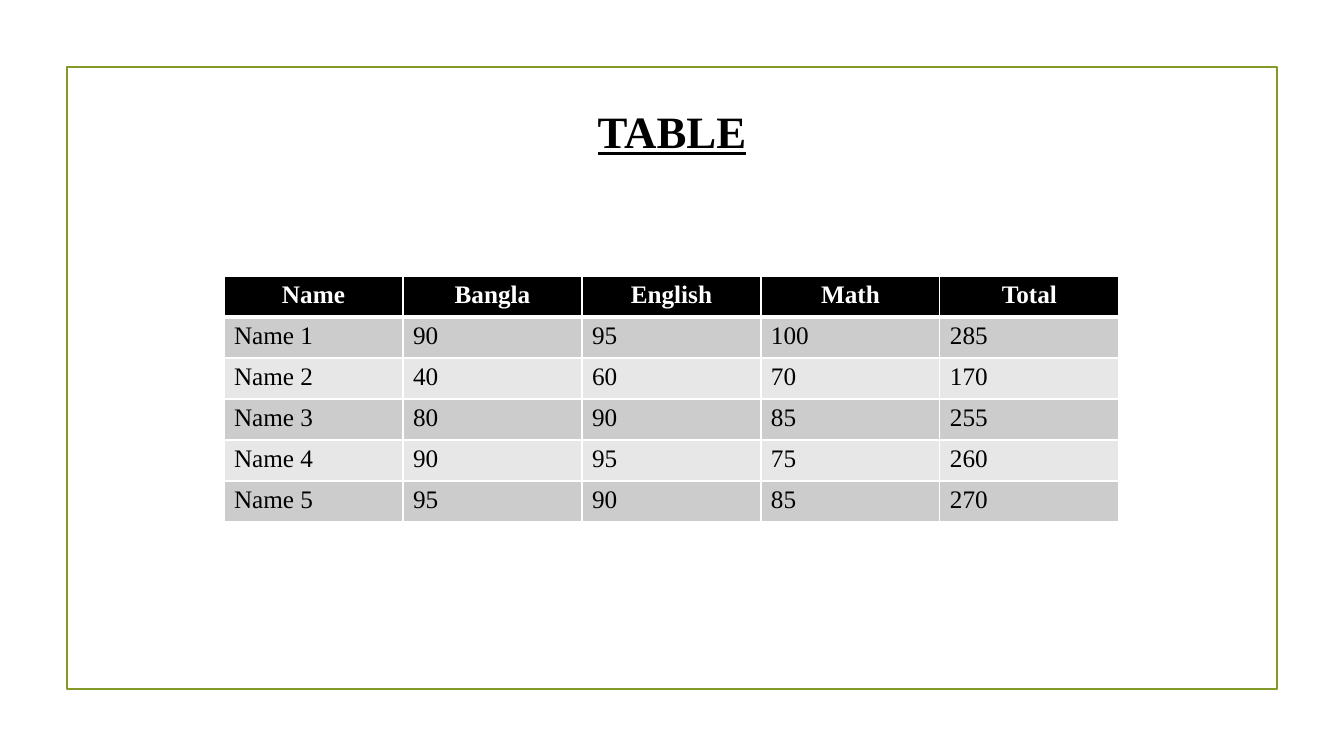
from lxml import etree
from pptx import Presentation
from pptx.dml.color import RGBColor
from pptx.enum.shapes import MSO_SHAPE
from pptx.enum.text import MSO_AUTO_SIZE, PP_ALIGN
from pptx.oxml.ns import qn
from pptx.util import Pt

# Content
TITLE = "TABLE"
HEADER = ["Name", "Bangla", "English", "Math", "Total"]
MARKS = [
    ("Name 1", 90, 95, 100, 285),
    ("Name 2", 40, 60, 70, 170),
    ("Name 3", 80, 90, 85, 255),
    ("Name 4", 90, 95, 75, 260),
    ("Name 5", 95, 90, 85, 270),
]

# Look
FONT = "Times New Roman"
COLORS = {
    "frame": "83992A",
    "black": "000000",
    "white": "FFFFFF",
    "odd": "CCCCCC",
    "even": "E7E7E7",
}
RECTANGLE = MSO_SHAPE.RECTANGLE
CENTER, LEFT = PP_ALIGN.CENTER, PP_ALIGN.LEFT

# Layout in px
SLIDE_SIZE = (1344, 756)
FRAME_BOX = (67, 67, 1210, 622)
TITLE_BOX = (587, 99, 170, 65)
TABLE_LEFT, TABLE_TOP = 224, 276
COLUMN_WIDTH, ROW_HEIGHT = 179, 41
EMU_PER_PX = 914400 / 100.8


def emu(*lengths):
    return [round(length * EMU_PER_PX) for length in lengths]


def color(name):
    return RGBColor.from_string(COLORS[name])


def add_text(paragraph, text, size, color_name, bold, alignment):
    paragraph.alignment = alignment
    run = paragraph.add_run()
    run.text = text
    run.font.name = FONT
    run.font.size = Pt(size)
    run.font.bold = bold
    run.font.color.rgb = color(color_name)
    return run


def set_borders(cell, widths):
    properties = cell._tc.get_or_add_tcPr()
    for index, (side, width) in enumerate(widths.items()):
        line = etree.Element(qn(f"a:{side}"), w=str(Pt(width)))
        fill = etree.SubElement(line, qn("a:solidFill"))
        etree.SubElement(fill, qn("a:srgbClr"), val=COLORS["white"])
        properties.insert(index, line)


presentation = Presentation()
presentation.slide_width, presentation.slide_height = emu(*SLIDE_SIZE)
slide = presentation.slides.add_slide(presentation.slide_layouts[6])

# Frame
frame = slide.shapes.add_shape(RECTANGLE, *emu(*FRAME_BOX))
frame.shadow.inherit = False
frame.fill.background()
frame.line.color.rgb = color("frame")
frame.line.width = Pt(1.25)

# Title
title_box = slide.shapes.add_textbox(*emu(*TITLE_BOX))
title_frame = title_box.text_frame
title_frame.word_wrap = True
title_frame.auto_size = MSO_AUTO_SIZE.SHAPE_TO_FIT_TEXT
title = add_text(title_frame.paragraphs[0], TITLE, 32, "black", True, CENTER)
title.font.underline = True

# Marks table
rows = [HEADER, *MARKS]
table_size = (COLUMN_WIDTH * len(HEADER), ROW_HEIGHT * len(rows))
table = slide.shapes.add_table(
    len(rows), len(HEADER), *emu(TABLE_LEFT, TABLE_TOP, *table_size)
).table
for column in table.columns:
    column.width = emu(COLUMN_WIDTH)[0]

for row_index, values in enumerate(rows):
    table.rows[row_index].height = emu(ROW_HEIGHT)[0]
    is_header = row_index == 0
    if is_header:
        fill_name, text_name, alignment = "black", "white", CENTER
    else:
        fill_name = "odd" if row_index % 2 else "even"
        text_name, alignment = "black", LEFT
    borders = {
        "lnL": 1,
        "lnR": 1,
        "lnT": 3 if row_index == 1 else 1,
        "lnB": 3 if is_header else 1,
    }
    for column_index, value in enumerate(values):
        cell = table.cell(row_index, column_index)
        cell.fill.solid()
        cell.fill.fore_color.rgb = color(fill_name)
        set_borders(cell, borders)
        paragraph = cell.text_frame.paragraphs[0]
        add_text(paragraph, str(value), 18, text_name, is_header, alignment)

presentation.save("out.pptx")
